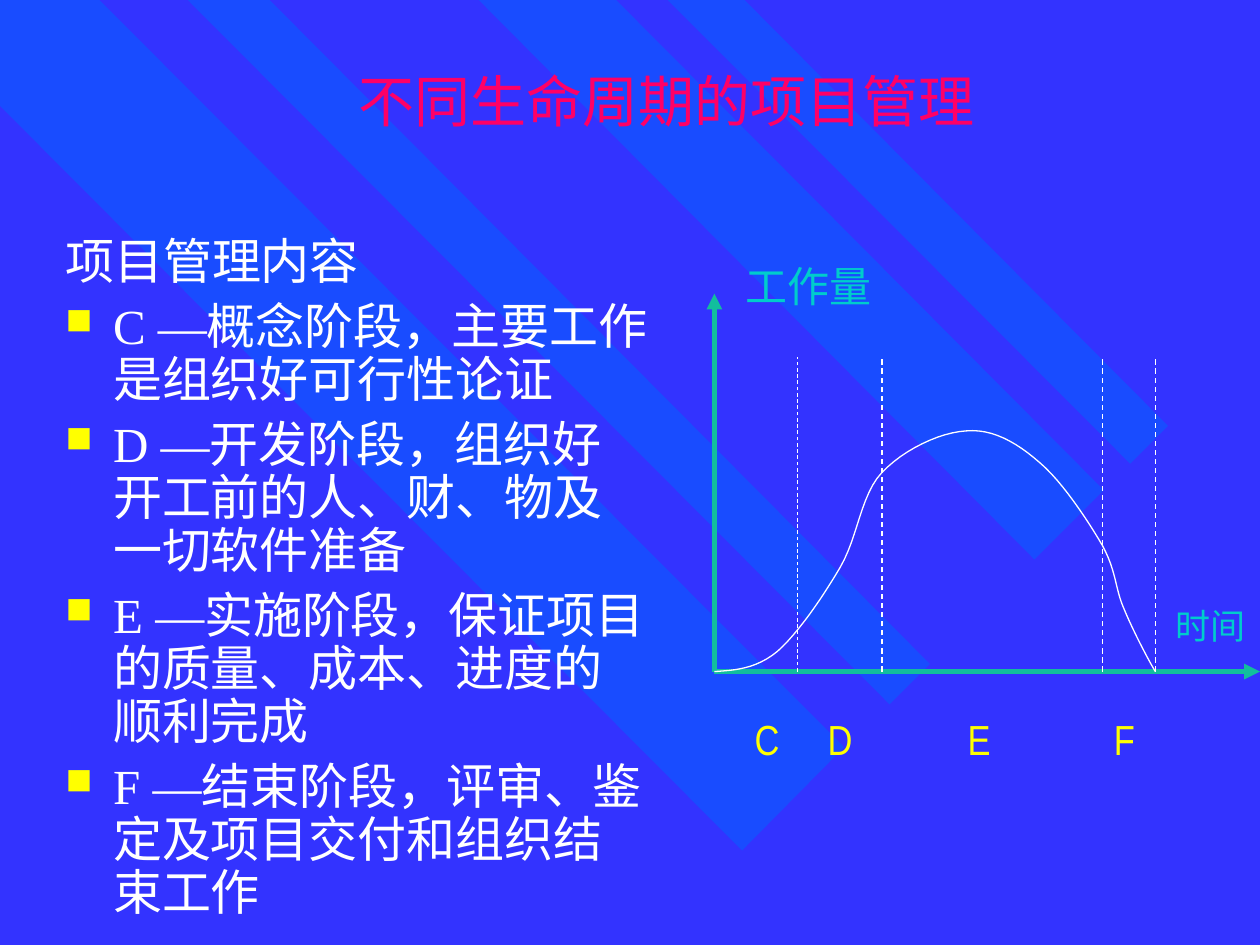
from lxml.etree import SubElement
from pptx import Presentation
from pptx.dml.color import RGBColor
from pptx.enum.dml import MSO_LINE
from pptx.enum.shapes import MSO_CONNECTOR
from pptx.enum.text import MSO_ANCHOR, PP_ALIGN
from pptx.oxml.ns import qn
from pptx.util import Inches, Pt

BLUE, BAND, PINK, WHITE = "3333FF", "0066FF", "FF0066", "FFFFFF"
GREEN, CYAN, YELLOW = "12BE9D", "00CCCC", "FFFF00"
SERIF, NARROW = "Times New Roman", "Arial Narrow"
BANDS = [
    [(6.7, 5.93), (0.79, 0), (0, 0), (0, 0.84), (5.89, 6.75)],
    [(2.14, 0), (7.38, 5.27), (7.06, 5.59), (1.49, 0)],
    [(4.89, 0), (8.76, 3.89), (8.21, 4.44), (3.8, 0)],
    [(5.3, 0), (8.97, 3.68), (9.27, 3.38), (5.91, 0)],
]
HEAD = "项目管理内容"
STAGES = [
    "C —概念阶段，主要工作是组织好可行性论证",
    "D —开发阶段，组织好开工前的人、财、物及一切软件准备",
    "E —实施阶段，保证项目的质量、成本、进度的顺利完成",
    "F —结束阶段，评审、鉴定及项目交付和组织结束工作",
]
# Workload curve from the origin of the axes: two controls and an end per arc
CURVE = [
    [(0.16, -0.01), (0.33, -0.02), (0.5, -0.16)],
    [(0.66, -0.3), (0.86, -0.59), (1, -0.83)],
    [(1.14, -1.07), (1.16, -1.4), (1.33, -1.58)],
    [(1.5, -1.76), (1.79, -1.9), (2, -1.91)],
    [(2.2, -1.93), (2.4, -1.82), (2.58, -1.66)],
    [(2.76, -1.51), (2.97, -1.19), (3.08, -1)],
    [(3.19, -0.8), (3.18, -0.66), (3.25, -0.5)],
    [(3.32, -0.33), (3.45, -0.08), (3.5, 0)],
]


def paint(fmt, hue):
    """Give a fill or a line a solid colour."""
    fill = getattr(fmt, "fill", fmt)
    fill.solid()
    fill.fore_color.rgb = RGBColor.from_string(hue)


def apply(item, **values):
    """Set attributes from a dict of format values."""
    for key, value in values.items():
        setattr(item, key, value)


def add_text(slide, box, lines, size, font, hue, left=0.1, **frame):
    """Place a text box and return its paragraphs."""
    shape = slide.shapes.add_textbox(*map(Inches, box))
    body = shape.text_frame
    apply(body, word_wrap=True, margin_left=Inches(left),
          margin_right=Inches(0.05 if left > 0.1 else 0.1), **frame)
    body.text = "\n".join(lines)
    for para in body.paragraphs:
        apply(para.runs[0].font, size=Pt(size), name=font)
        paint(para.runs[0].font, hue)
    return body.paragraphs


def add_path(slide, points, closed):
    """Draw a freeform through points given in inches."""
    spots = [(Inches(x), Inches(y)) for x, y in points]
    pen = slide.shapes.build_freeform(*spots[0])
    pen.add_line_segments(spots[1:], close=closed)
    shape = pen.convert_to_shape()
    shape.shadow.inherit = False
    return shape


def add_line(slide, start, end, hue, width, dash=False, arrow=False):
    """Draw a straight line, dashed or with an arrowhead."""
    line = slide.shapes.add_connector(
        MSO_CONNECTOR.STRAIGHT, *map(Inches, start + end))
    paint(line.line, hue)
    line.line.width = Pt(width)
    if dash:
        line.line.dash_style = MSO_LINE.DASH
    if arrow:
        SubElement(line.line._get_or_add_ln(), qn("a:tailEnd"), type="triangle")
    SubElement(line._element.spPr, qn("a:effectLst"))


def add_bands(slide):
    """Lay the half-clear diagonal bands on the background."""
    paint(slide.background, BLUE)
    for points in BANDS:
        band = add_path(slide, points, True)
        paint(band, BAND)
        band.line.fill.background()
        tone = band._element.spPr.find(qn("a:solidFill"))[0]
        SubElement(tone, qn("a:alpha"), val="50000")


def add_title(slide, box):
    """Place the slide title, centred in its box."""
    para, = add_text(slide, box, ["不同生命周期的项目管理"], 32, SERIF, PINK,
                     vertical_anchor=MSO_ANCHOR.MIDDLE)
    para.alignment = PP_ALIGN.CENTER


def add_list(slide, box):
    """Place the heading and the bulleted stages."""
    paras = add_text(slide, box, [HEAD] + STAGES, 28, SERIF, WHITE)
    for rank, para in enumerate(paras):
        props = para._p.get_or_add_pPr()
        apply(para, line_spacing=0.9, space_before=Pt(7))
        props.set("marL", str(Inches(0.38)))
        props.set("indent", str(-Inches(0.38)))
        if rank:
            tint = SubElement(props, qn("a:buClr"))
            SubElement(tint, qn("a:srgbClr"), val=YELLOW)
            SubElement(props, qn("a:buSzPct"), val="75000")
            SubElement(props, qn("a:buChar"), char="■")


def trace(arcs, steps=12):
    """Return points along a chain of cubic arcs from the origin."""
    points = [(0, 0)]
    for arc in arcs:
        knots = [points[-1]] + arc
        for step in range(1, steps + 1):
            t = step / steps
            mix = ((1 - t) ** 3, 3 * t * (1 - t) ** 2, 3 * t * t * (1 - t), t ** 3)
            points.append(tuple(sum(m * k[axis] for m, k in zip(mix, knots))
                                for axis in (0, 1)))
    return points


def add_graph(slide, box):
    """Draw axes, stage limits, labels and curve in the box."""
    x, y, wide, high = box
    base = y + high
    for end in ((x, y), (x + wide, base)):
        add_line(slide, (x, base), end, GREEN, 3, arrow=True)

    stages, = add_text(slide, (x + 0.16, base + 0.28, 3.67, 0.5),
                       ["C\tD\tE\tF"], 24, NARROW, YELLOW, left=0.16)
    tabs = SubElement(stages._p.get_or_add_pPr(), qn("a:tabLst"))
    for stop in (0.58, 1.69, 2.85):
        SubElement(tabs, qn("a:tab"), pos=str(Inches(stop)), algn="l")

    for shift, width in ((0.66, 0.5), (1.33, 0.75), (3.08, 0.75), (3.5, 0.75)):
        add_line(slide, (x + shift, base), (x + shift, base - 2.5),
                 WHITE, width, dash=True)
    add_text(slide, (x + 0.15, y - 0.31, 1.52, 0.5), ["工作量"],
             24, NARROW, CYAN)
    add_text(slide, (x + 3.5, base - 0.58, 0.83, 0.44), ["时间"],
             20, NARROW, CYAN, left=0.16)

    curve = add_path(slide, [(x + a, base + b) for a, b in trace(CURVE)], False)
    curve.fill.background()
    paint(curve.line, WHITE)
    curve.line.width = Pt(0.75)


def main():
    """Build the slide and save it."""
    deck = Presentation()
    apply(deck, slide_width=Inches(10), slide_height=Inches(7.5))
    slide = deck.slides.add_slide(deck.slide_layouts[6])
    add_bands(slide)
    add_title(slide, (0.83, 0.17, 8.92, 1.25))
    add_list(slide, (0.42, 1.83, 4.83, 5.67))
    add_graph(slide, (5.67, 2.33, 4.33, 3))
    deck.save("out.pptx")


main()
